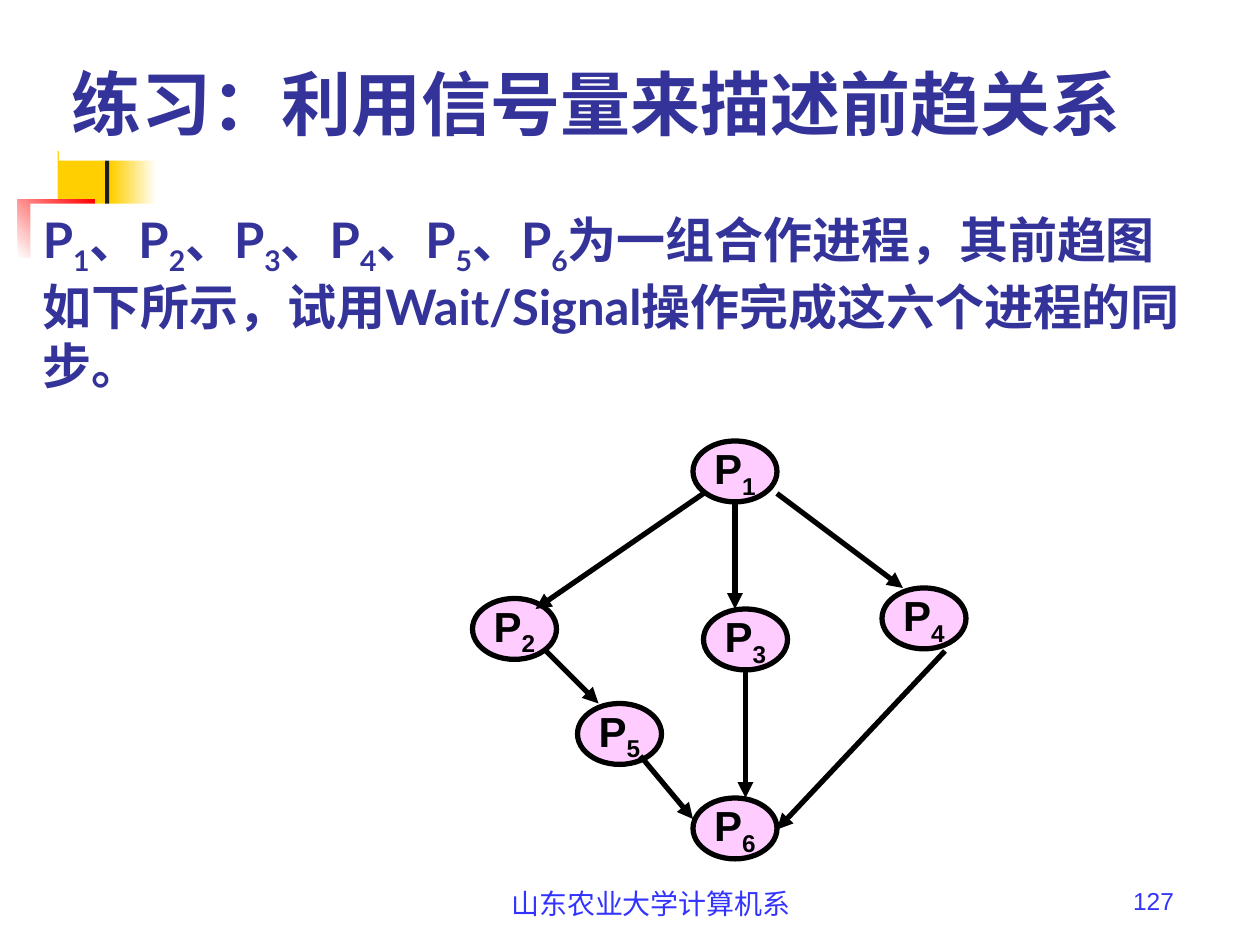
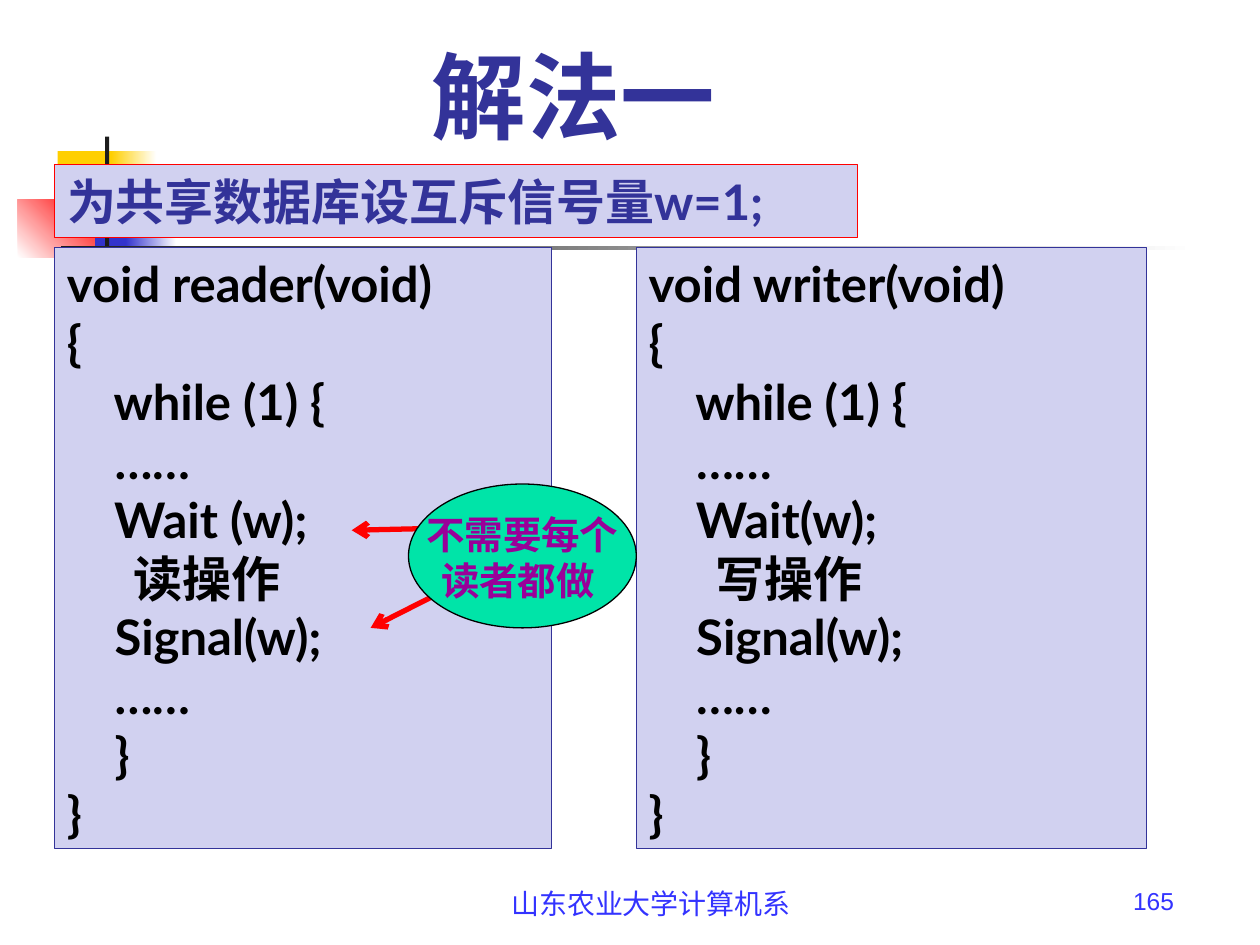
from lxml import etree
from pptx import Presentation, util as u
from pptx.dml.color import RGBColor
from pptx.enum import shapes, text
from pptx.oxml.ns import qn

COLS, ROWS = 120, 90
UNIT = u.Inches(10) / COLS
HUES = dict(white="FFFFFF", black="000000", navy="333399", blue="3333CC",
            foot="3333FF", gold="FFCF01", red="FF0000", ink="1C1C1C",
            pink="FFCCFF", pale="D1D1F0", mint="00E4A8", plum="990099")
SANS, LATO, HAN = "Arial", "Lato", "Noto Sans CJK SC"
LEFT, MID, RIGHT = text.PP_ALIGN.LEFT, text.PP_ALIGN.CENTER, text.PP_ALIGN.RIGHT
RECT, OVAL = shapes.MSO_SHAPE.RECTANGLE, shapes.MSO_SHAPE.OVAL

FOOT = "山东农业大学计算机系"
TASK = ("、".join(f"P_{n}_" for n in range(1, 7))
        + "为一组合作进程，其前趋图如下所示，试用Wait/Signal操作完成这六个进程的同步。")
NODES = [(21, 0), (0, 15), (22, 16), (39, 14), (10, 25), (21, 34)]
EDGES = [(22, 5, 6, 16), (25, 6, 25, 16), (7, 20, 12, 25), (29, 5, 41, 14),
         (16, 30, 21, 36), (26, 22, 26, 34), (45, 20, 29, 37)]
CODE = """void {name}(void)
{{
    while (1) {{
    ……
    {wait}
      {work}
    Signal(w);
    ……
    }}
}}"""
DECOR = [((5.5, 14.4, 5.8, 6.2), ["gold"], 0, False),
         ((10.6, 14.4, 4.3, 6.2), ["gold", "white"], 0, False),
         ((7.1, 19.9, 5.5, 6.2), ["blue"], 0, True),
         ((12, 19.9, 4.8, 6.2), ["blue", "white"], 0, True),
         ((1.7, 19, 7.3, 5.5), ["white", "red"], 45, False),
         ((10, 13, 0.4, 13.8), ["ink"], 0, False),
         ((5.8, 23.4, 108, 0.4), ["ink", "white"], 0, True)]


def rgb(hue):
    return RGBColor.from_string(HUES[hue])


def grid(*cells):
    return [round(cell * UNIT) for cell in cells]


def write(shape, words, size, hue, face, align=LEFT, bold=True,
          anchor=text.MSO_ANCHOR.TOP, wrap=True):
    frame = shape.text_frame
    frame.word_wrap = wrap
    frame.auto_size = text.MSO_AUTO_SIZE.NONE
    frame.vertical_anchor = anchor
    frame.margin_left = frame.margin_right = u.Inches(0.1)
    frame.margin_top = frame.margin_bottom = u.Inches(0.05)
    for row, line in enumerate(words.split("\n")):
        para = frame.add_paragraph() if row else frame.paragraphs[0]
        para.alignment = align
        font = para.font
        font.size, font.bold, font.name = u.Pt(size), bold, face
        font.color.rgb = rgb(hue)
        base = para._p.pPr.find(qn("a:defRPr"))
        etree.SubElement(base, qn("a:ea")).set("typeface", HAN)
        for turn, part in enumerate(line.split("_")):
            if part:
                run = para.add_run()
                run.text = part
                if turn % 2:
                    run._r.get_or_add_rPr().set("baseline", "-25000")


def block(slide, box, hues, kind=RECT, edge=None, width=0.75, angle=0):
    shape = slide.shapes.add_shape(kind, *grid(*box))
    shape.shadow.inherit = False
    if len(hues) == 1:
        shape.fill.solid()
        shape.fill.fore_color.rgb = rgb(hues[0])
    else:
        shape.fill.gradient()
        shape.fill.gradient_angle = angle
        for stop, hue in zip(shape.fill.gradient_stops, hues):
            stop.color.rgb = rgb(hue)
    if edge:
        shape.line.color.rgb = rgb(edge)
        shape.line.width = u.Pt(width)
    else:
        shape.line.fill.background()
    return shape


def arrow(slide, box, ends, hue, head):
    left, top = box[:2]
    x1, y1, x2, y2 = ends
    line = slide.shapes.add_connector(
        shapes.MSO_CONNECTOR.STRAIGHT,
        *grid(left + x1, top + y1, left + x2, top + y2))
    line.line.color.rgb = rgb(hue)
    line.line.width = u.Pt(3)
    etree.SubElement(line.line._get_or_add_ln(), qn("a:tailEnd")).set("type", head)
    etree.SubElement(line._element.spPr, qn("a:effectLst"))


def label(slide, box, words, size, align):
    shape = slide.shapes.add_textbox(*grid(*box))
    write(shape, words, size, "foot", SANS, align, bold=False)


def start(deck, number, full):
    slide = deck.slides.add_slide(deck.slide_layouts[5])
    for box, hues, angle, extra in DECOR:
        if full or not extra:
            block(slide, box, hues, angle=angle)
    label(slide, (43, 83.8, 38, 6.2), FOOT, 16, MID)
    label(slide, (83, 83.8, 30, 6.2), number, 14, RIGHT)
    return slide


def head(slide, box, words, size, align, anchor):
    title = slide.shapes.title
    slide.shapes._spTree.append(title._element)
    title.left, title.top, title.width, title.height = grid(*box)
    write(title, words, size, "navy", HAN, align, anchor=anchor)
    return title


def graph(slide, box):
    left, top = box[:2]
    for number, (col, row) in enumerate(NODES, 1):
        node = block(slide, (left + col, top + row, 8, 5.8), ["pink"],
                     OVAL, "black", 3)
        write(node, f"P_{number}_", 24, "black", SANS, MID,
              anchor=text.MSO_ANCHOR.MIDDLE, wrap=False)
    for ends in EDGES:
        arrow(slide, box, ends, "black", "triangle")


def panel(slide, box, name, wait, work):
    shape = block(slide, box, ["pale"], edge="navy")
    write(shape, CODE.format(name=name, wait=wait, work=work), 28, "black", LATO)


def callout(slide, box):
    for ends in [(3.7, 4.2, -5.4, 4.4), (3.9, 9.9, -3.6, 13.7)]:
        arrow(slide, box, ends, "red", "arrow")
    shape = block(slide, box, ["mint"], OVAL, "black")
    write(shape, "不需要每个\n读者都做 ", 22, "plum", LATO, MID, wrap=False)


def task(deck):
    slide = start(deck, "127", False)
    title = head(slide, (5.6, 4.3, 106.8, 11), "练习：利用信号量来描述前趋关系",
                 40, LEFT, text.MSO_ANCHOR.MIDDLE)
    title.fill.solid()
    title.fill.fore_color.rgb = rgb("white")
    body = block(slide, (2.9, 19.4, 112.1, 18.8), ["white"])
    write(body, TASK, 28, "navy", LATO)
    graph(slide, (45, 42, 47, 40))


def answer(deck):
    slide = start(deck, "165", True)
    panel(slide, (5.2, 23.6, 47.3, 57.2), "reader", "Wait (w);", "读操作")
    panel(slide, (60.6, 23.6, 48.6, 57.2), "writer", "Wait(w);", "写操作")
    callout(slide, (38.9, 46.1, 21.7, 13.7))
    head(slide, (25.3, 3, 58.6, 12), "解法一", 54, MID, text.MSO_ANCHOR.TOP)
    note = block(slide, (5.2, 15.7, 76.5, 6.9), ["pale"], edge="red")
    write(note, "为共享数据库设互斥信号量w=1;", 28, "navy", LATO)


def main():
    deck = Presentation()
    deck.slide_width, deck.slide_height = grid(COLS, ROWS)
    task(deck)
    answer(deck)
    deck.save("out.pptx")


if __name__ == "__main__":
    main()
